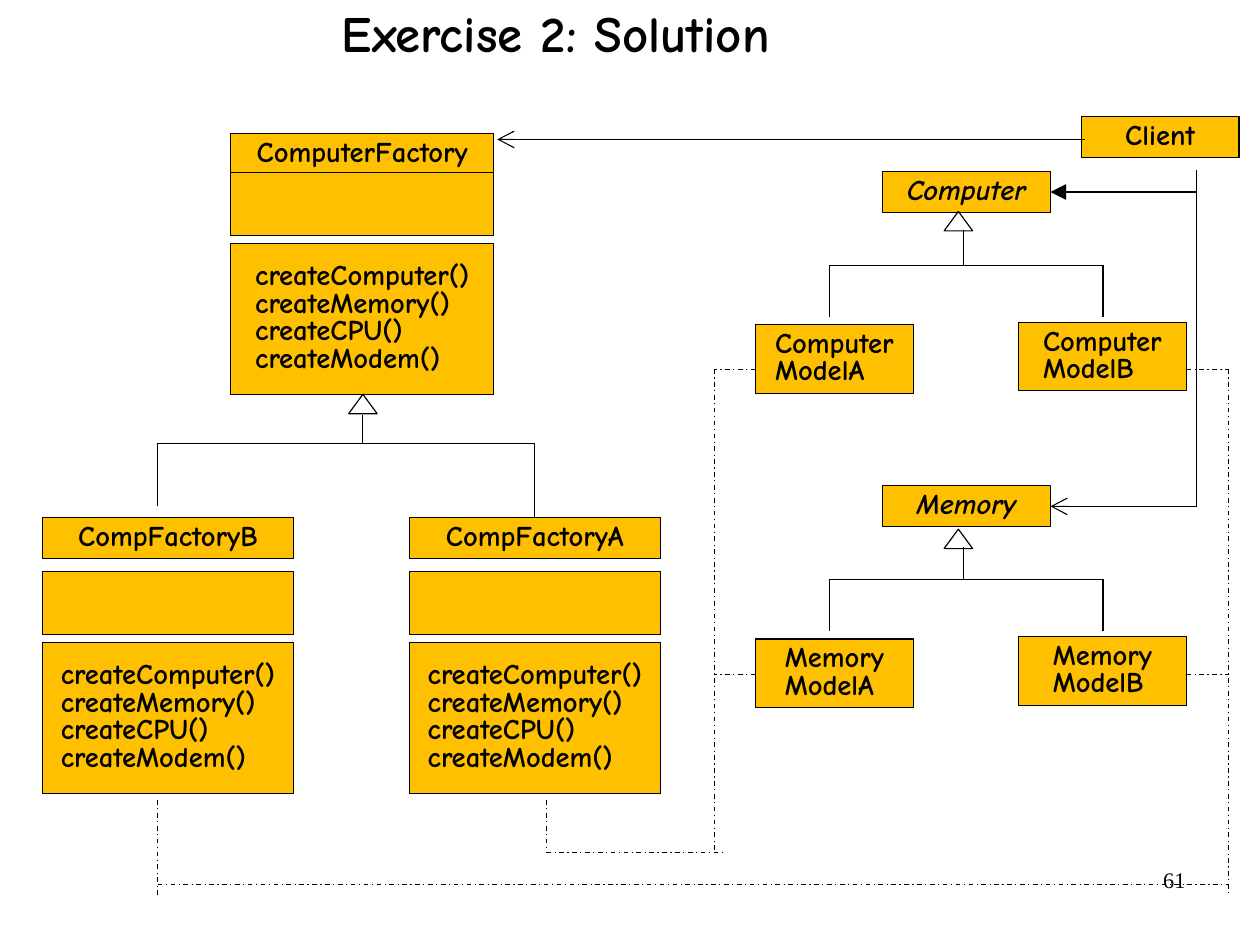
from lxml import etree
from pptx import Presentation
from pptx import util as u
from pptx.dml.color import RGBColor
from pptx.enum import dml, shapes, text
from pptx.oxml.ns import qn

# Lengths are columns and rows of a square grid
CELL = u.Inches(0.1)
FONT = "Comic Neue"
INK, AMBER = "000000", "FFC000"
METHODS = "createComputer() createMemory() createCPU() createModem()"


def grid(*lengths):
    return [round(length * CELL) for length in lengths]


def colour(code):
    return RGBColor.from_string(code)


def format_runs(para, size, name=FONT, bold=True, italic=False):
    for span in para.runs:
        font = span.font
        font.name, font.size = name, u.Pt(size)
        font.bold, font.italic = bold, italic
        font.color.rgb = colour(INK)


def outline(item):
    item.line.color.rgb = colour(INK)
    item.line.width = u.Pt(0.75)


# Building blocks
def add_box(page, x, y, width, height, label="", italic=False):
    box = page.shapes.add_shape(shapes.MSO_SHAPE.RECTANGLE,
                                *grid(x, y, width, height))
    box.shadow.inherit = False
    box.fill.solid()
    box.fill.fore_color.rgb = colour(AMBER)
    outline(box)
    if label:
        frame = box.text_frame
        frame.word_wrap = True
        frame.auto_size = text.MSO_AUTO_SIZE.SHAPE_TO_FIT_TEXT
        frame.vertical_anchor = text.MSO_ANCHOR.MIDDLE
        frame.margin_left = frame.margin_right = u.Inches(0.11)
        frame.margin_top = frame.margin_bottom = u.Inches(0.06)
        # Centre the left-aligned block as a whole
        frame._txBody.bodyPr.set("anchorCtr", "1")
        para = frame.paragraphs[0]
        para.text = label
        para.alignment = text.PP_ALIGN.LEFT
        para.line_spacing = 0.8
        format_runs(para, 18, italic=italic)
    return box


def add_line(page, x1, y1, x2, y2, dashed=False, arrow=None):
    line = page.shapes.add_connector(shapes.MSO_CONNECTOR.STRAIGHT,
                                     *grid(x1, y1, x2, y2))
    outline(line)
    if dashed:
        line.line.dash_style = dml.MSO_LINE.DASH_DOT
    if arrow:
        etree.SubElement(line.line._get_or_add_ln(), qn("a:tailEnd"),
                         type=arrow, w="lg", len="lg")
    etree.SubElement(line._element.spPr, qn("a:effectLst"))
    return line


def add_inheritance(page, head, stem, bar, left, right):
    """Triangle at head, stem down to the bar, one leg to each child."""
    triangle = page.shapes.add_shape(shapes.MSO_SHAPE.ISOSCELES_TRIANGLE,
                                     *grid(*head, 2.5, 1.7))
    triangle.shadow.inherit = False
    triangle.fill.background()
    outline(triangle)
    add_line(page, *stem, stem[0], bar)
    add_line(page, left[0], bar, right[0], bar)
    return [add_line(page, x, bar, x, end) for x, end in (left, right)]


# Regions
def add_title(page, x, y, width, height):
    title = page.shapes.title
    title.left, title.top, title.width, title.height = grid(x, y, width, height)
    frame = title.text_frame
    frame.text = "Exercise 2: Solution"
    frame.vertical_anchor = text.MSO_ANCHOR.MIDDLE
    frame.margin_left = frame.margin_right = 0
    frame.margin_top = frame.margin_bottom = 0
    para = frame.paragraphs[0]
    para.alignment = text.PP_ALIGN.CENTER
    para.line_spacing = 0.88
    format_runs(para, 32)


def add_page_number(page, x, y, width, height):
    number = page.shapes.add_textbox(*grid(x, y, width, height))
    number.text_frame.word_wrap = True
    para = number.text_frame.paragraphs[0]
    para.text = "61"
    para.alignment = text.PP_ALIGN.RIGHT
    format_runs(para, 14, "Times New Roman", bold=False)


def add_class(page, x, y, width, name, body):
    """Name, empty attributes (body rows below the top) and methods."""
    header = add_box(page, x, y, width, 3.6, name)
    add_box(page, x, y + body, width, 5.5)
    add_box(page, x, y + body + 6.2, width, 13.2, METHODS)
    return header


def add_factories(page, x, y):
    add_class(page, x + 16.5, y, 23, "ComputerFactory", 3.4)
    add_class(page, x, y + 33.6, 22, "CompFactoryB", 4.7)
    factory_a = add_class(page, x + 32.1, y + 33.6, 22, "CompFactoryA", 4.7)
    legs = add_inheritance(page, (x + 26.8, y + 22.8), (x + 28.05, y + 24.6),
                           y + 27.1, (x + 10.1, y + 32.6), (x + 43.1, y + 33.6))
    legs[1].end_connect(factory_a, 0)


def add_products(page, x, y, name, head):
    base = add_box(page, x + 11.1, y, 14.7, 3.6, name, italic=True)
    add_box(page, x, y + 13.4, 13.8, 6, name + " ModelA")
    add_box(page, x + 23, y + 13.2, 14.7, 6, name + " ModelB")
    add_inheritance(page, (x + 16.5, y + head), (x + 18.2, y + head + 1.6),
                    y + 8.2, (x + 6.5, y + 12.7), (x + 30.4, y + 12.7))
    return base


def add_client(page, x, y, computer, memory):
    add_box(page, x, y, 13.8, 3.6, "Client")
    add_line(page, x + 0.3, y + 2, x - 51.1, y + 2, arrow="arrow")
    trunk = x + 10.1
    add_line(page, trunk, y + 4.7, trunk, y + 34.1)
    for base, row, arrow in ((computer, 6.6, "triangle"), (memory, 34.1, "arrow")):
        use = add_line(page, trunk, y + row, x - 2.7, y + row, arrow=arrow)
        use.end_connect(base, 3)


def add_creation_links(page, factory, trunk, products, bottom, over_x, over_y):
    """Dashed path from a factory to both of its products."""
    add_line(page, factory, 70, factory, bottom + over_y, dashed=True)
    add_line(page, factory, bottom, trunk + over_x, bottom, dashed=True)
    add_line(page, trunk, 32.3, trunk, bottom + over_y, dashed=True)
    for row in (32.3, 59):
        add_line(page, products, row, trunk, row, dashed=True)


def main():
    deck = Presentation()
    deck.slide_width, deck.slide_height = u.Mm(280), u.Mm(210)
    page = deck.slides.add_slide(deck.slide_layouts[5])
    add_page_number(page, 79, 75.3, 25.7, 5.7)
    add_title(page, 1.8, 0.9, 93.7, 4.6)
    add_factories(page, 3.7, 11.7)
    computer = add_products(page, 66.1, 15, "Computer", 3.5)
    memory = add_products(page, 66.1, 42.5, "Memory", 3.8)
    add_creation_links(page, 13.8, 107.5, 103.8, 77.4, 0, 0.9)
    add_creation_links(page, 47.8, 62.5, 66.1, 74.6, 0.9, 0)
    add_client(page, 94.6, 10.2, computer, memory)
    deck.save("out.pptx")


if __name__ == "__main__":
    main()
